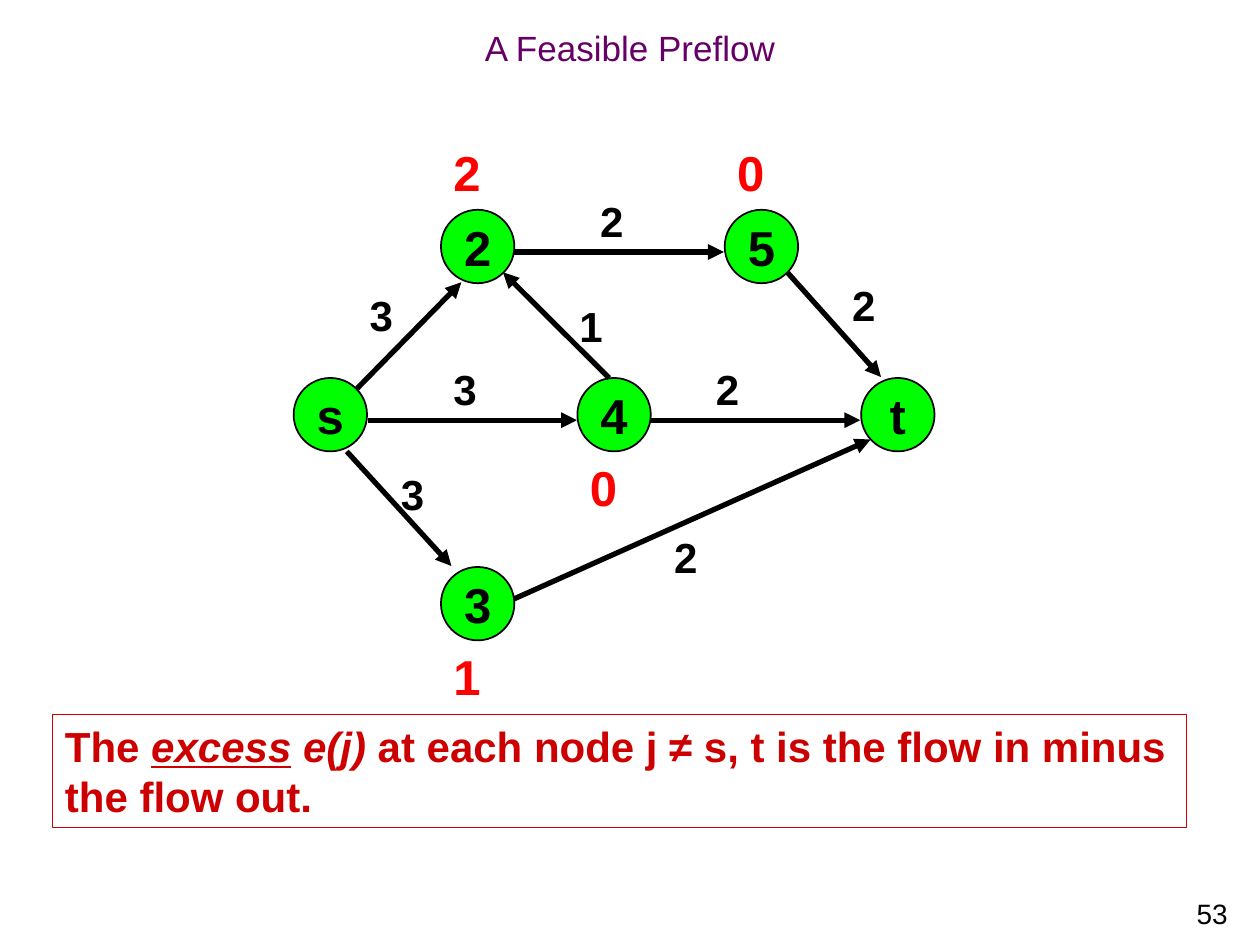
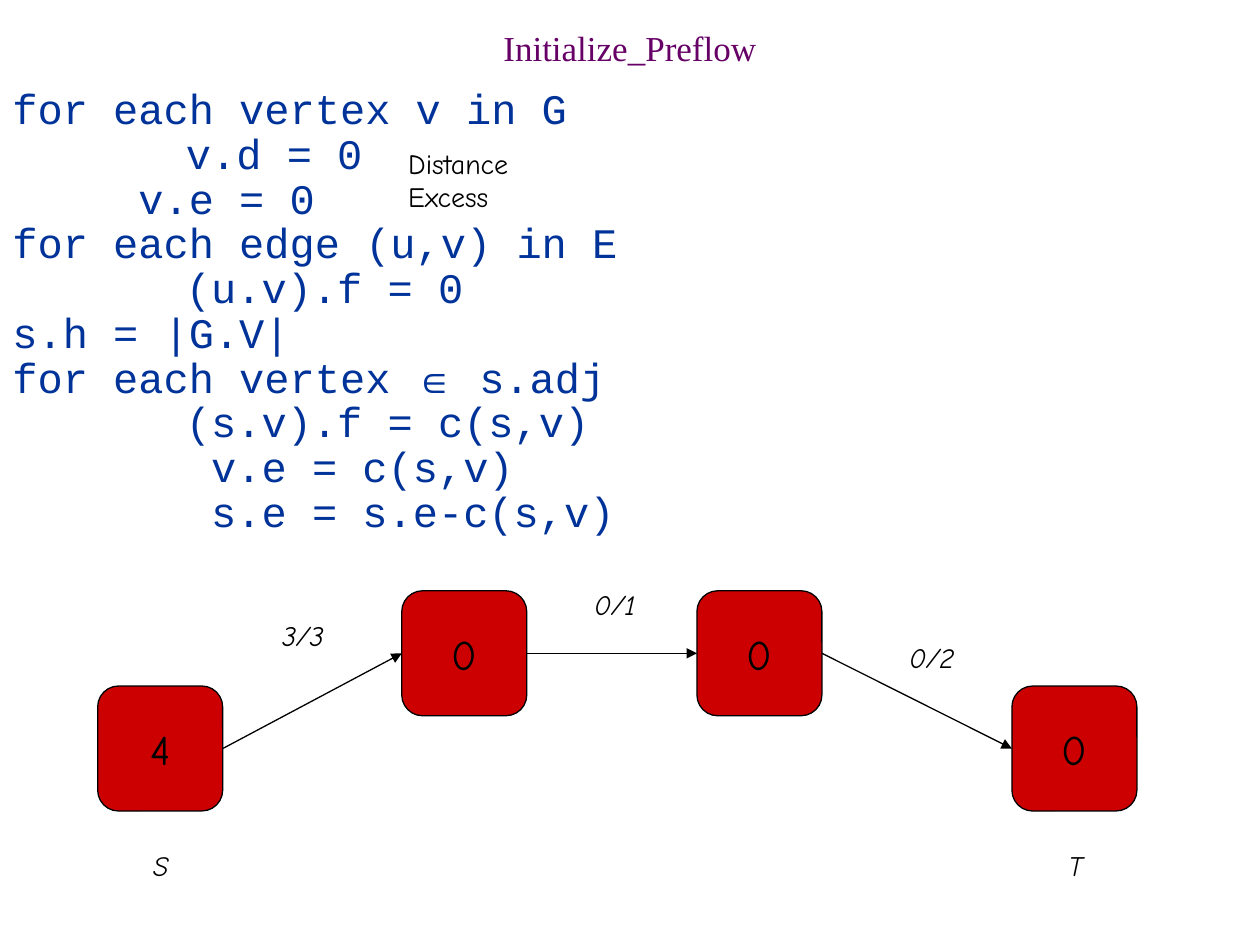
from dataclasses import dataclass, field
from itertools import pairwise
from typing import NamedTuple

from lxml import etree
from pptx import Presentation
from pptx import util as u
from pptx.dml.color import RGBColor
from pptx.enum import shapes, text
from pptx.oxml import ns


@dataclass(frozen=True)
class Theme:
    black: str = "000000"
    title: str = "660066"
    red: str = "CC0000"
    excess: str = "FF0000"
    node: str = "00FF00"
    code: str = "003399"
    sans: str = "Arial"
    serif: str = "Times New Roman"
    mono: str = "Courier New"
    comic: str = "Comic Neue"
    small: float = 16
    heading: float = 20
    symbol: float = 22
    body: float = 24
    large: float = 28
    code_spacing: float = 25.6
    thin: float = 0.75
    outline: float = 1
    thick: float = 3


THEME = Theme()
LEFT, CENTER, RIGHT = text.PP_ALIGN.LEFT, text.PP_ALIGN.CENTER, text.PP_ALIGN.RIGHT
NODE_SIZE = 1.48
TILE_SIZE = 2.52


class Style(NamedTuple):
    size: float
    font: str
    color: str = THEME.black
    bold: bool = False
    italic: bool = False
    underline: bool = False


class Span(NamedTuple):
    text: str
    style: Style


class Line(NamedTuple):
    spans: list[Span]
    indent: float = 0


class Area(NamedTuple):
    left: float
    top: float
    width: float
    height: float


@dataclass(frozen=True)
class Layout:
    align: text.PP_ALIGN = LEFT
    middle: bool = False
    wrap: bool = True
    grow: bool = False
    spacing: float | u.Length | None = None


@dataclass(frozen=True)
class Node:
    name: str
    left: float
    top: float
    excess: str = ""
    excess_side: int = field(default=-1)


class Edge(NamedTuple):
    start: tuple[float, float]
    end: tuple[float, float]
    flow: str
    label: tuple[float, float]


class Tile(NamedTuple):
    value: str
    left: float
    top: float


class Label(NamedTuple):
    text: str
    area: Area


NODE_STYLE = Style(THEME.large, THEME.sans, bold=True)
EXCESS_STYLE = NODE_STYLE._replace(color=THEME.excess)
FLOW_STYLE = Style(THEME.body, THEME.sans, bold=True)
NOTE_STYLE = FLOW_STYLE._replace(color=THEME.red)
CODE_STYLE = Style(THEME.body, THEME.mono, THEME.code)
SYMBOL_STYLE = Style(THEME.symbol, THEME.sans, THEME.code)
TILE_STYLE = Style(THEME.body, THEME.comic)
REMARK_STYLE = Style(THEME.small, THEME.comic)
LABEL_STYLE = REMARK_STYLE._replace(italic=True)

CENTERED = Layout(CENTER, middle=True, wrap=False)
GROWING = Layout(grow=True)
FREE = Layout(wrap=False, grow=True)

NODES = [
    Node("s", 5.92, 7.62),
    Node("3", 8.89, 11.43, "1", 1),
    Node("4", 11.64, 7.62, "0", 1),
    Node("2", 8.89, 4.23, "2"),
    Node("5", 14.61, 4.23, "0"),
    Node("t", 17.36, 7.62),
]
EDGES = [
    Edge((7.2, 7.83), (9.3, 5.69), "3", (7.2, 5.72)),
    Edge((6.99, 9.1), (9.1, 11.41), "3", (7.83, 9.31)),
    Edge((10.37, 5.08), (14.59, 5.08), "2", (11.85, 3.81)),
    Edge((7.41, 8.47), (11.63, 8.47), "3", (8.89, 7.2)),
    Edge((12.28, 7.62), (10.14, 5.49), "1", (11.43, 5.93)),
    Edge((13.12, 8.47), (17.34, 8.47), "2", (14.18, 7.2)),
    Edge((10.37, 12.07), (17.55, 8.86), "2", (13.34, 10.58)),
    Edge((15.88, 5.5), (17.76, 7.6), "2", (16.93, 5.5)),
]
TILES = [
    Tile("4", 1.97, 13.83),
    Tile("0", 8.1, 11.91),
    Tile("0", 14.05, 11.91),
    Tile("0", 20.4, 13.83),
]
TILE_LABELS = [
    Label("3/3", Area(5.44, 12.34, 1.35, 0.94)),
    Label("0/1", Area(11.73, 11.71, 1.35, 0.94)),
    Label("0/2", Area(18.08, 12.78, 1.42, 0.94)),
    Label("S", Area(2.84, 16.99, 0.81, 0.94)),
    Label("T", Area(21.29, 16.99, 0.79, 0.94)),
]


def plain(content: str, style: Style, indent: float = 0) -> Line:
    return Line([Span(content, style)], indent)


CODE_INDENT = 3.5
CODE = [
    plain("for each vertex v in G", CODE_STYLE),
    plain("v.d = 0", CODE_STYLE, CODE_INDENT),
    plain("     v.e = 0", CODE_STYLE),
    plain("for each edge (u,v) in E", CODE_STYLE),
    plain("(u.v).f = 0", CODE_STYLE, CODE_INDENT),
    plain("s.h = |G.V|", CODE_STYLE),
    Line([Span("for each vertex ", CODE_STYLE), Span("∈", SYMBOL_STYLE), Span(" s.adj", CODE_STYLE)]),
    plain("(s.v).f = c(s,v)", CODE_STYLE, CODE_INDENT),
    plain(" v.e = c(s,v)", CODE_STYLE, CODE_INDENT),
    plain(" s.e = s.e-c(s,v)", CODE_STYLE, CODE_INDENT),
]
NOTE = Line([
    Span("The ", NOTE_STYLE),
    Span("excess", NOTE_STYLE._replace(italic=True, underline=True)),
    Span(" ", NOTE_STYLE),
    Span("e(j)", NOTE_STYLE._replace(italic=True)),
    Span(" at each node j ≠ s, t is the flow in minus the flow out.", NOTE_STYLE),
])


def cm(values: tuple) -> list[u.Length]:
    return [u.Cm(value) for value in values]


def write(box, lines: list[Line], layout: Layout) -> None:
    frame = box.text_frame
    frame.word_wrap = layout.wrap
    frame.vertical_anchor = text.MSO_ANCHOR.MIDDLE if layout.middle else text.MSO_ANCHOR.TOP
    if layout.grow:
        frame.auto_size = text.MSO_AUTO_SIZE.SHAPE_TO_FIT_TEXT
    for index, line in enumerate(lines):
        para = frame.add_paragraph() if index else frame.paragraphs[0]
        para.alignment = layout.align
        para.line_spacing = layout.spacing
        if line.indent:
            para._p.get_or_add_pPr().set("marL", str(u.Cm(line.indent)))
        for span in line.spans:
            run = para.add_run()
            run.text = span.text
            font, style = run.font, span.style
            font.size, font.name = u.Pt(style.size), style.font
            font.bold, font.italic, font.underline = style.bold, style.italic, style.underline
            font.color.rgb = RGBColor.from_string(style.color)


def add_text(page, area: Area, lines: list[Line], layout: Layout) -> None:
    write(page.shapes.add_textbox(*cm(area)), lines, layout)


def add_shape(page, kind, area: Area, fill: str | None, line_color: str,
              line_width: float, lines: list[Line], layout: Layout) -> None:
    shape = page.shapes.add_shape(kind, *cm(area))
    shape.shadow.inherit = False
    if fill:
        shape.fill.solid()
        shape.fill.fore_color.rgb = RGBColor.from_string(fill)
    else:
        shape.fill.background()
    shape.line.color.rgb = RGBColor.from_string(line_color)
    shape.line.width = u.Pt(line_width)
    write(shape, lines, layout)


def add_arrow(page, start: tuple[float, float], end: tuple[float, float], width: float) -> None:
    arrow = page.shapes.add_connector(shapes.MSO_CONNECTOR.STRAIGHT, *cm(start + end))
    arrow.line.color.rgb = RGBColor.from_string(THEME.black)
    arrow.line.width = u.Pt(width)
    etree.SubElement(arrow.line._get_or_add_ln(), ns.qn("a:tailEnd"), type="triangle")
    etree.SubElement(arrow._element.spPr, ns.qn("a:effectLst"))


def add_page(deck, title: str, font: str):
    page = deck.slides.add_slide(deck.slide_layouts[6])
    style = Style(THEME.heading, font, THEME.title)
    add_text(page, Area(0, 0.43, 25.4, 1.27), [plain(title, style)],
             Layout(CENTER, middle=True, spacing=0.7))
    return page


def build_feasible_preflow(deck) -> None:
    page = add_page(deck, "A Feasible Preflow", THEME.sans)
    add_text(page, Area(20.12, 17.78, 4.88, 1.27),
             [plain("53", Style(THEME.small, THEME.sans))], Layout(RIGHT, middle=True, wrap=False))
    add_shape(page, shapes.MSO_SHAPE.RECTANGLE, Area(1.06, 14.4, 22.86, 2.29), None,
              THEME.red, THEME.thin, [NOTE], GROWING)
    for node in NODES:
        add_shape(page, shapes.MSO_SHAPE.OVAL, Area(node.left, node.top, NODE_SIZE, NODE_SIZE),
                  THEME.node, THEME.black, THEME.outline, [plain(node.name, NODE_STYLE)], CENTERED)
        if node.excess:
            excess_top = node.top + node.excess_side * NODE_SIZE
            add_text(page, Area(node.left, excess_top, 1.27, 1.45),
                     [plain(node.excess, EXCESS_STYLE)], GROWING)
    for edge in EDGES:
        add_arrow(page, edge.start, edge.end, THEME.thick)
        add_text(page, Area(*edge.label, 1.25, 1.27), [plain(edge.flow, FLOW_STYLE)], GROWING)


def build_initialize_preflow(deck) -> None:
    page = add_page(deck, "Initialize_Preflow", THEME.serif)
    add_text(page, Area(0, 1.65, 13.2, 9.68), CODE, Layout(spacing=u.Pt(THEME.code_spacing)))
    for tile in TILES:
        add_shape(page, shapes.MSO_SHAPE.ROUNDED_RECTANGLE,
                  Area(tile.left, tile.top, TILE_SIZE, TILE_SIZE), THEME.red, THEME.black,
                  THEME.thin, [plain(tile.value, TILE_STYLE)], CENTERED)
    for tile, following in pairwise(TILES):
        add_arrow(page, (tile.left + TILE_SIZE, tile.top + TILE_SIZE / 2),
                  (following.left, following.top + TILE_SIZE / 2), THEME.thin)
    for label in TILE_LABELS:
        add_text(page, label.area, [plain(label.text, LABEL_STYLE)], FREE)
    remarks = [plain(word, REMARK_STYLE) for word in ("Distance", "Excess")]
    add_text(page, Area(7.98, 2.82, 2.54, 1.63), remarks, FREE)


def main() -> None:
    deck = Presentation()
    deck.slide_width, deck.slide_height = cm((25.4, 19.05))
    build_feasible_preflow(deck)
    build_initialize_preflow(deck)
    deck.save("out.pptx")


if __name__ == "__main__":
    main()
